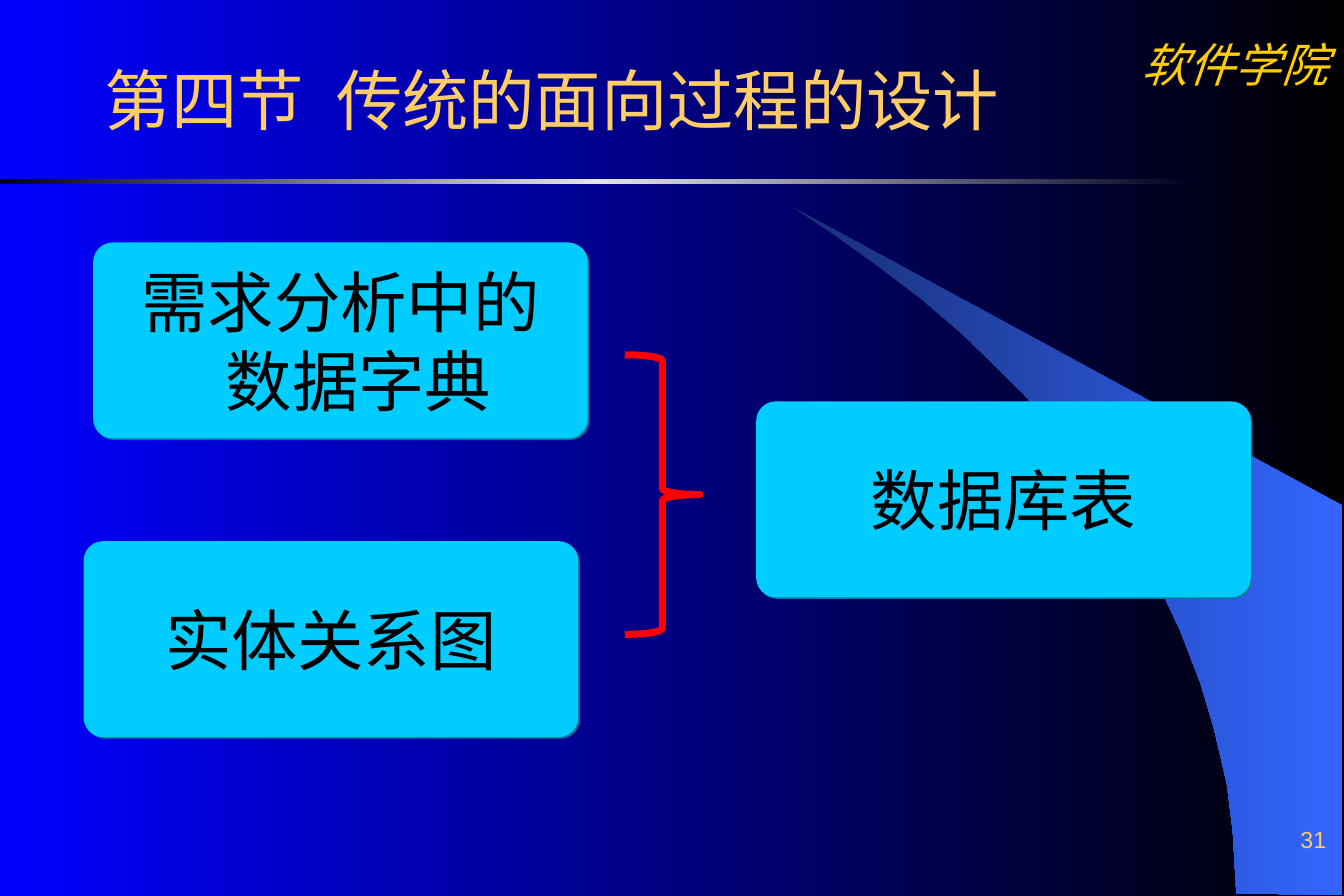
from lxml import etree
from pptx import Presentation
from pptx.dml.color import RGBColor
from pptx.enum.shapes import MSO_SHAPE as Preset
from pptx.enum.text import MSO_ANCHOR as Anchor, PP_ALIGN as Align
from pptx.oxml.ns import qn
from pptx.util import Inches, Pt

BLUE = RGBColor(0x00, 0x00, 0xFF)
BLACK = RGBColor(0x00, 0x00, 0x00)
NAVY = RGBColor(0x00, 0x00, 0x20)
SILVER = RGBColor(0xE5, 0xE5, 0xE8)
SWOOSH_DARK = RGBColor(0x18, 0x2F, 0x76)
SWOOSH_LIGHT = RGBColor(0x33, 0x66, 0xFF)
YELLOW = RGBColor(0xFF, 0xCC, 0x00)
GOLD = RGBColor(0xFF, 0xCC, 0x66)
CYAN = RGBColor(0x00, 0xCC, 0xFF)
TEAL = RGBColor(0x00, 0x7A, 0x99)
RED = RGBColor(0xFF, 0x00, 0x00)

SWOOSH_POINTS = [
    (10.35, 7.48), (11.23, 7.49), (11.23, 4.23), (6.63, 1.73), (7.02, 1.99),
    (7.34, 2.22), (7.71, 2.5), (8.06, 2.8), (8.57, 3.3), (9.03, 3.84),
    (9.36, 4.31), (9.65, 4.79), (9.88, 5.28), (10.05, 5.72), (10.16, 6.09),
    (10.27, 6.56), (10.32, 6.96),
]


def add_color(parent, color):
    etree.SubElement(parent, qn("a:srgbClr"), val=str(color))


def fill_gradient(fill, element, colors):
    fill.gradient()
    fill.gradient_angle = 0
    stops = element.find(".//" + qn("a:gsLst"))
    for stop in list(stops):
        stops.remove(stop)
    for index, color in enumerate(colors):
        position = 100000 * index // (len(colors) - 1)
        add_color(etree.SubElement(stops, qn("a:gs"), pos=str(position)), color)


def add_preset(slide, preset, box):
    shape = slide.shapes.add_shape(preset, *map(Inches, box))
    shape.shadow.inherit = False
    shape.line.fill.background()
    return shape


def format_runs(paragraph, font_name, size, color, italic=False):
    for run in paragraph.runs:
        run.font.name = font_name
        run.font.size = Pt(size)
        run.font.color.rgb = color
        run.font.italic = italic


def add_label(slide, box, text, align, anchor, *font):
    frame = slide.shapes.add_textbox(*map(Inches, box)).text_frame
    frame.word_wrap = True
    frame.vertical_anchor = anchor
    frame.margin_top = frame.margin_bottom = 0
    paragraph = frame.paragraphs[0]
    paragraph.text = text
    paragraph.alignment = align
    format_runs(paragraph, *font)
    return paragraph


def add_backdrop(slide):
    fill_gradient(slide.background.fill, slide._element, [BLUE, BLACK])
    points = [(Inches(x), Inches(y)) for x, y in SWOOSH_POINTS]
    builder = slide.shapes.build_freeform(*points[0], scale=1.0)
    builder.add_line_segments(points[1:], close=True)
    swoosh = builder.convert_to_shape()
    swoosh.shadow.inherit = False
    swoosh.line.fill.background()
    fill_gradient(swoosh.fill, swoosh._element, [SWOOSH_DARK, SWOOSH_LIGHT])
    rule = add_preset(slide, Preset.RECTANGLE, (0, 1.5, 9.99, 0.04))
    fill_gradient(rule.fill, rule._element, [NAVY, SILVER, NAVY])


def add_title(slide, box):
    title = add_label(slide, box, "第四节", Align.LEFT, Anchor.MIDDLE,
                      "Montserrat", 40, GOLD)
    gap = title.add_run()
    gap.text = " "
    title.add_run().text = "传统的面向过程的设计"
    format_runs(title, "Montserrat", 40, GOLD)
    gap.font._element.set("spc", "1050")


def add_card(slide, box, text):
    card = add_preset(slide, Preset.ROUNDED_RECTANGLE, box)
    card.adjustments[0] = 0.1
    card.fill.solid()
    card.fill.fore_color.rgb = CYAN
    effects = card._element.spPr.find(qn("a:effectLst"))
    shadow = etree.SubElement(effects, qn("a:outerShdw"), dist=str(Pt(1.4)),
                              dir="2700000", algn="ctr", rotWithShape="0")
    add_color(shadow, TEAL)
    frame = card.text_frame
    frame.word_wrap = True
    frame.vertical_anchor = Anchor.MIDDLE
    frame.margin_top = frame.margin_bottom = 0
    paragraph = frame.paragraphs[0]
    paragraph.text = text
    paragraph.alignment = Align.CENTER
    properties = paragraph._p.get_or_add_pPr()
    properties.set("marL", str(Inches(0.3)))
    properties.set("indent", str(Inches(-0.3)))
    format_runs(paragraph, "Montserrat", 40, BLACK)


def add_diagram(slide, left, top):
    width, height = 4.14, 1.64
    cards = [
        (0.08, 0, "需求分析中的数据字典"),
        (0, 2.5, "实体关系图"),
        (5.63, 1.33, "数据库表"),
    ]
    for x, y, text in cards:
        add_card(slide, (left + x, top + y, width, height), text)
    brace = add_preset(slide, Preset.RIGHT_BRACE, (left + 4.53, top + 0.94, 0.63, 2.34))
    brace.adjustments[0] = 0.08
    brace.fill.background()
    brace.line.color.rgb = RED
    brace.line.width = Pt(4.25)


def main():
    presentation = Presentation()
    presentation.slide_width = Inches(11.25)
    presentation.slide_height = Inches(7.5)
    slide = presentation.slides.add_slide(presentation.slide_layouts[6])
    add_backdrop(slide)
    add_label(slide, (9.42, 0.25, 1.83, 0.57), "软件学院", Align.CENTER,
              Anchor.MIDDLE, "Times New Roman", 28, YELLOW, True)
    add_label(slide, (8.86, 6.72, 2.34, 0.42), "31", Align.RIGHT,
              Anchor.BOTTOM, "Arial", 14, GOLD)
    add_title(slide, (0.78, 0.55, 8.2, 0.55))
    add_diagram(slide, 0.7, 2.03)
    presentation.save("out.pptx")


if __name__ == "__main__":
    main()
